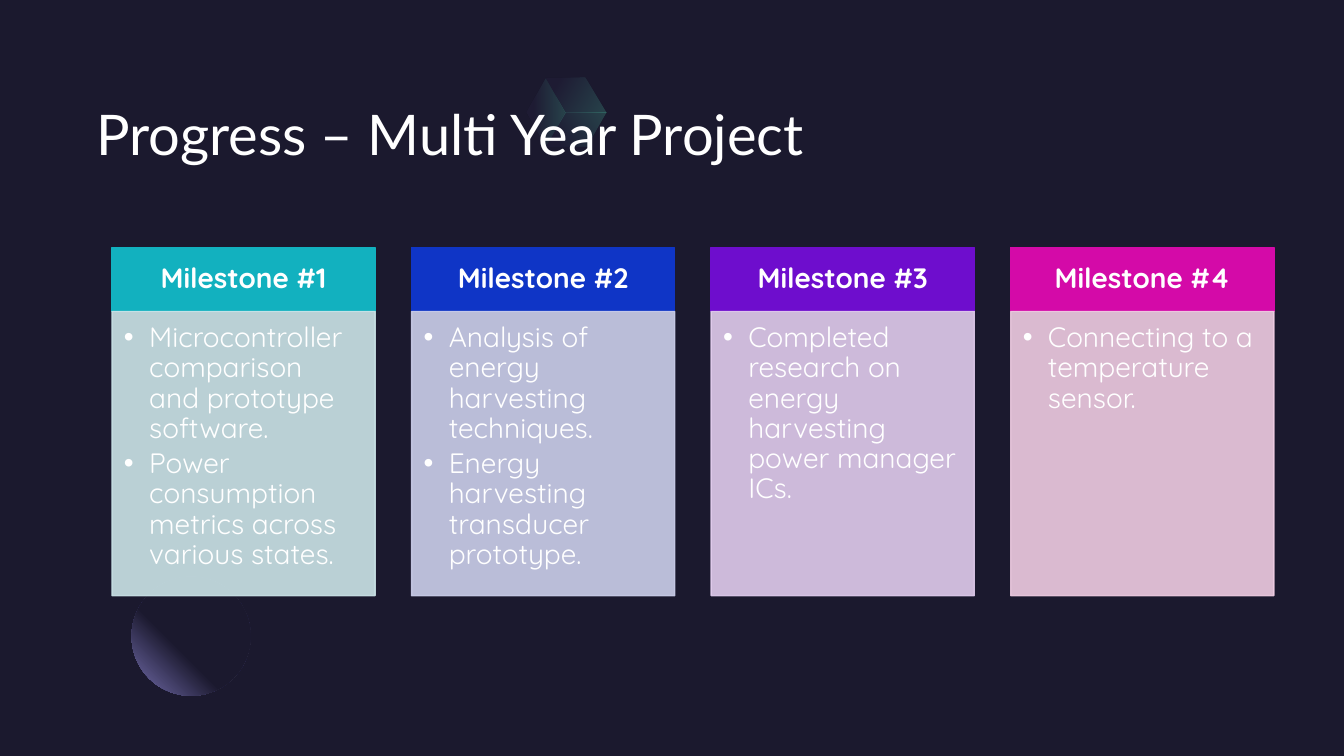
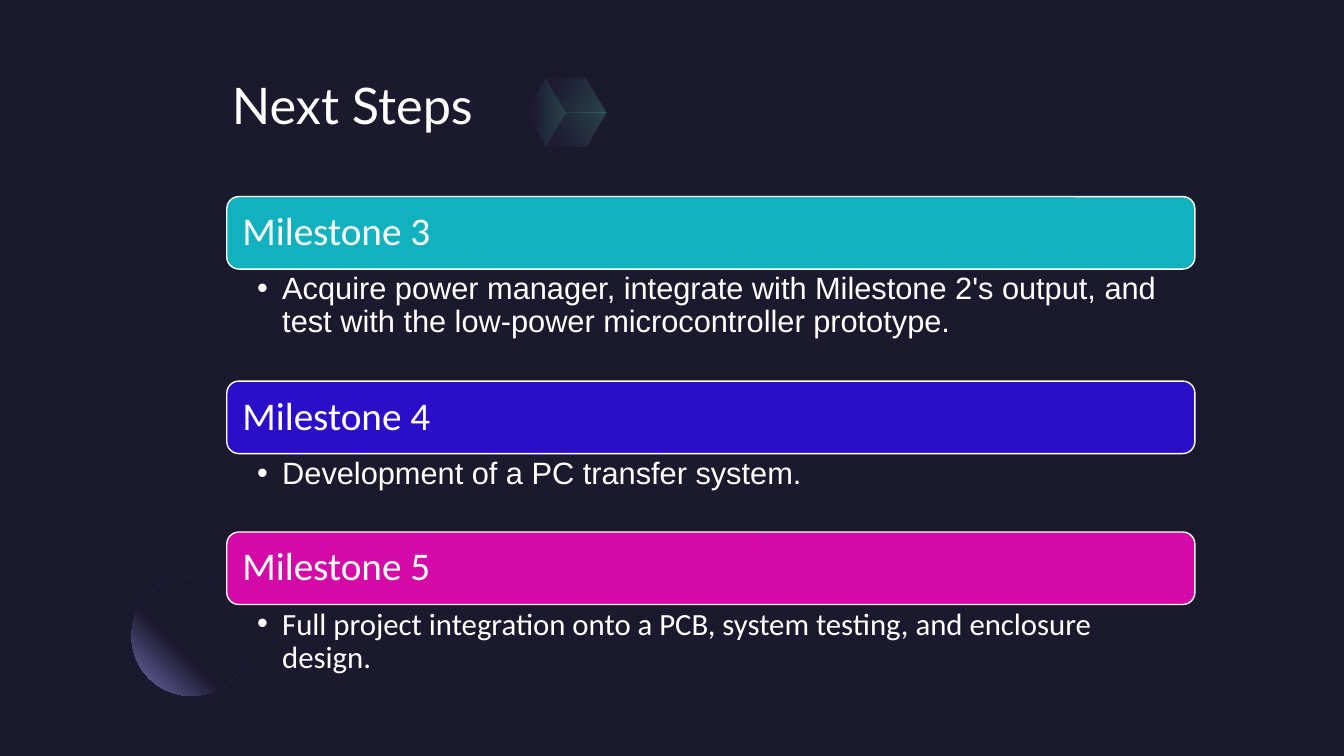
"""Build two project progress slides: milestones reached and next steps."""
from lxml.etree import SubElement
from pptx import Presentation
from pptx.dml.color import RGBColor
from pptx.enum.shapes import MSO_SHAPE as Preset
from pptx.enum.text import MSO_ANCHOR as Anchor, MSO_AUTO_SIZE as AutoSize, PP_ALIGN as Align
from pptx.oxml import parse_xml
from pptx.oxml.ns import nsdecls, qn
from pptx.util import Pt

COLOURS = {
    "night": "1B192E", "white": "FFFFFF", "violet": "7771B2",
    "facet dark": "2C284A", "facet light": "5BEFC1",
    "teal": "12B1BF", "teal tint": "CCE4E8",
    "blue": "0F35C6", "blue tint": "CCCFEB",
    "purple": "6E0DCD", "purple tint": "E1CCED",
    "pink": "D40AA8", "pink tint": "EFCCE2",
    "indigo": "2A0EC9",
}


def add_panel(slide, preset, box, fill, line):
    panel = slide.shapes.add_shape(preset, *map(Pt, box))
    panel.shadow.inherit = False
    panel.fill.solid()
    panel.fill.fore_color.rgb = RGBColor.from_string(COLOURS[fill])
    panel.line.color.rgb = RGBColor.from_string(COLOURS[line])
    panel.line.width = Pt(1)
    return panel


def write(shape, lines, font, size, insets, anchor=Anchor.TOP, align=Align.LEFT,
          bold=False, bullet_gap=None, spacing=0.9):
    frame = shape.text_frame
    frame.text = "\n".join(lines)
    frame.word_wrap = True
    frame.auto_size = AutoSize.NONE
    frame.vertical_anchor = anchor
    frame.margin_left, frame.margin_top, frame.margin_right, frame.margin_bottom = map(Pt, insets)
    for paragraph in frame.paragraphs:
        paragraph.alignment = align
        paragraph.line_spacing = spacing
        for run in paragraph.runs:
            run.font.name = font
            run.font.size = Pt(size)
            run.font.bold = bold
            run.font.color.rgb = RGBColor.from_string(COLOURS["white"])
        if bullet_gap is not None:
            paragraph.space_after = Pt(bullet_gap)
            properties = paragraph._p.get_or_add_pPr()
            properties.set("marL", str(Pt(18)))
            properties.set("indent", str(-Pt(18)))
            SubElement(properties, qn("a:buFont"), typeface="Arial")
            SubElement(properties, qn("a:buChar"), char="•")


deck = Presentation()
deck.slide_width, deck.slide_height = Pt(960), Pt(540)
layout = deck.slide_layouts[5]
layout.background.fill.solid()
layout.background.fill.fore_color.rgb = RGBColor.from_string(COLOURS["night"])
for placeholder in list(layout.placeholders)[1:]:
    layout.shapes.element.remove(placeholder.element)

progress = deck.slides.add_slide(layout)
next_steps = deck.slides.add_slide(layout)

for slide, title, box, size, insets, anchor, align, spacing in [
    (progress, "Progress – Multi Year Project", (31, 0, 543, 119.5), 40,
     (0, 0, 0, 0), Anchor.BOTTOM, Align.RIGHT, 0.9),
    (next_steps, "Next Steps", (158.5, 49.5, 644, 51), 36,
     (7.2, 3.6, 7.2, 3.6), Anchor.TOP, Align.LEFT, 1.0),
]:
    heading = slide.shapes.title
    heading.left, heading.top, heading.width, heading.height = map(Pt, box)
    write(heading, [title], "Lato", size, insets, anchor, align, spacing=spacing)

cube_centre, cube_right, cube_left = (404, 80.5), (433, 80.5), (376.5, 80)
top_left, top_right = (390, 56), (418, 55.5)
bottom_left, bottom_right = (390, 104.5), (419, 104.5)
facet_stops = [(20, "facet dark", 20), (100, "facet light", 20)]
ornaments = []
for corners, angle in [
    ([top_right, top_left, cube_centre, cube_right], 30),
    ([bottom_left, cube_left, top_left, cube_centre], 0),
    ([cube_right, bottom_right, bottom_left, cube_centre], 330),
]:
    outline = progress.shapes.build_freeform(*map(Pt, corners[0]))
    outline.add_line_segments([(Pt(x), Pt(y)) for x, y in corners[1:]])
    direction = f'<a:lin ang="{angle * 60000}" scaled="0"/>'
    ornaments.append((outline.convert_to_shape(), facet_stops, direction))
moon = progress.shapes.add_shape(Preset.OVAL, Pt(94), Pt(412), Pt(85), Pt(85))
ornaments.append((moon, [(60, "night", 100), (100, "violet", 100)],
                  '<a:path path="circle"><a:fillToRect l="100000" b="100000"/></a:path>'))

for ornament, stops, direction in ornaments:
    ornament.shadow.inherit = False
    ornament.line.fill.background()
    ornament.fill.background()
    stop_list = "".join(
        f'<a:gs pos="{position * 1000}"><a:srgbClr val="{COLOURS[colour]}">'
        f'<a:alpha val="{alpha * 1000}"/></a:srgbClr></a:gs>'
        for position, colour, alpha in stops)
    gradient = parse_xml(f'<a:gradFill {nsdecls("a")} rotWithShape="1">'
                         f'<a:gsLst>{stop_list}</a:gsLst>{direction}</a:gradFill>')
    properties = ornament.element.spPr
    properties.replace(properties.find(qn("a:noFill")), gradient)
    layout.shapes.element.append(ornament.element)

milestones = [
    ("teal", ["Microcontroller comparison and prototype software.",
              "Power consumption metrics across various states."]),
    ("blue", ["Analysis of energy harvesting techniques.",
              "Energy harvesting transducer prototype."]),
    ("purple", ["Completed research on energy harvesting power manager ICs."]),
    ("pink", ["Connecting to a temperature sensor."]),
]
for column, (colour, results) in enumerate(milestones):
    left = 80 + column * 214
    header = add_panel(progress, Preset.RECTANGLE, (left, 177, 188, 45.5), colour, colour)
    write(header, [f"Milestone #{column + 1}"], "Quicksand", 20, (11.5, 6.5, 11.5, 6.5),
          Anchor.MIDDLE, Align.CENTER, bold=True)
    tint = colour + " tint"
    body = add_panel(progress, Preset.RECTANGLE, (left, 222.5, 188, 203), tint, tint)
    for shade in body.element.spPr.iter(qn("a:srgbClr")):
        SubElement(shade, qn("a:alpha"), val="90000")
    write(body, results, "Quicksand", 20, (8.6, 8.6, 11.5, 12.2), bullet_gap=3.5)

steps = [
    ("Milestone 3", "teal", "Arial", 80,
     "Acquire power manager, integrate with Milestone 2's output, and test with "
     "the low-power microcontroller prototype."),
    ("Milestone 4", "indigo", "Arial", 56, "Development of a PC transfer system."),
    ("Milestone 5", "pink", "Calibri", 53,
     "Full project integration onto a PCB, system testing, and enclosure design."),
]
top, bar_height = 140.4, 51.8
for name, colour, font, detail_height, task in steps:
    bar = add_panel(next_steps, Preset.ROUNDED_RECTANGLE,
                    (162, top, 691.5, bar_height), colour, "white")
    write(bar, [name], "Calibri", 28, (8.6, 8.6, 8.6, 8.6), Anchor.MIDDLE)
    top += bar_height
    detail = next_steps.shapes.add_textbox(Pt(162), Pt(top), Pt(691.5), Pt(detail_height))
    write(detail, [task], font, 22, (21.6, 2.9, 15.8, 2.9), bullet_gap=4.4)
    top += detail_height

deck.save("out.pptx")
